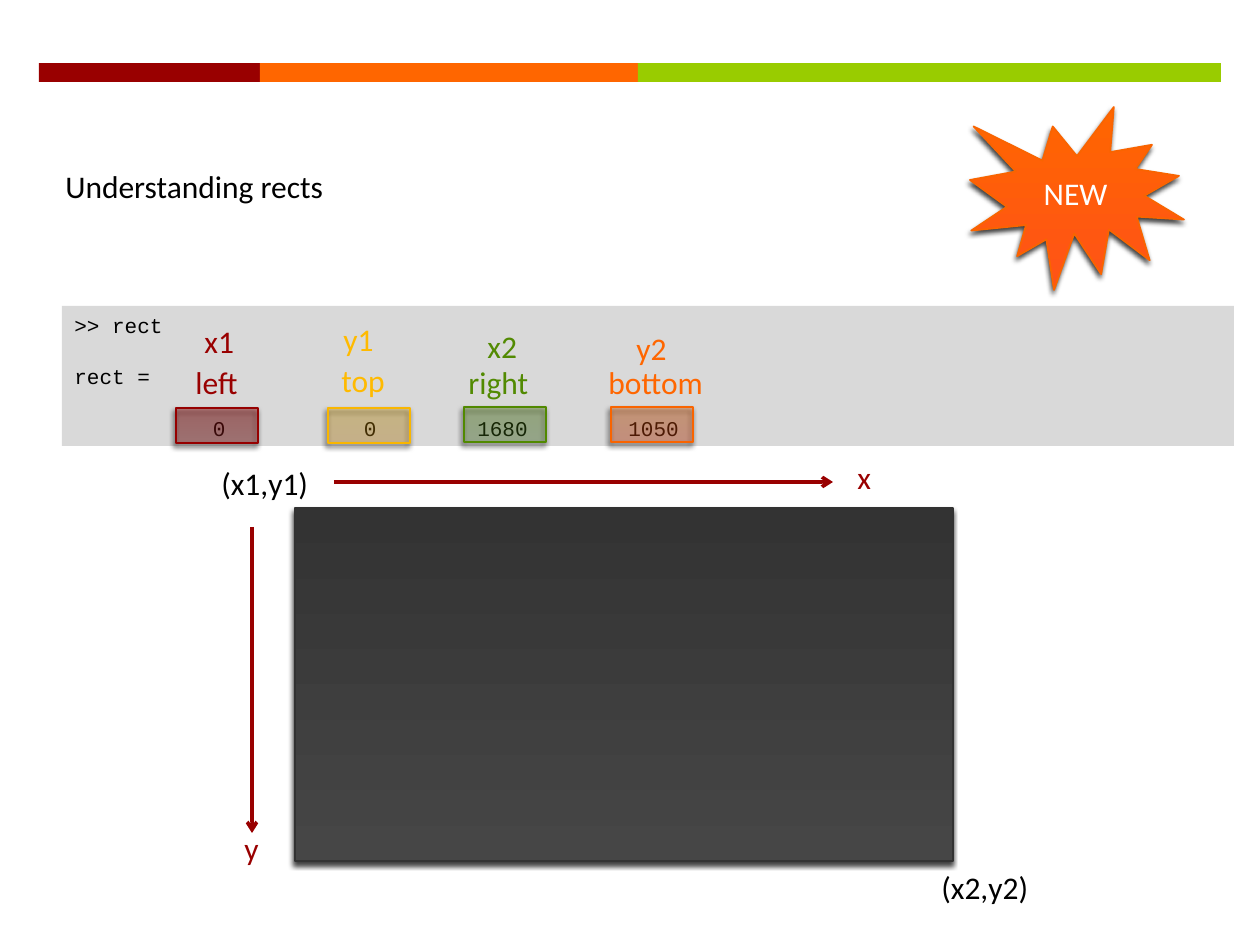
from dataclasses import dataclass

import pptx
import pptx.dml.color
import pptx.enum.dml
import pptx.enum.shapes
import pptx.enum.text
import pptx.oxml
import pptx.oxml.ns
import pptx.util

RGB = pptx.dml.color.RGBColor
SHAPE = pptx.enum.shapes.MSO_SHAPE

EMU_PER_PX = 914400 / 126
CODE_FONT = "Courier New"
BODY_FONT = "Calibri"

BLACK = RGB(0x00, 0x00, 0x00)
WHITE = RGB(0xFF, 0xFF, 0xFF)
RED = RGB(0x99, 0x00, 0x00)
RED_SOFT = RGB(0x9D, 0x28, 0x28)
RED_EDGE = RGB(0x96, 0x00, 0x00)
YELLOW = RGB(0xFF, 0xBA, 0x00)
YELLOW_SOFT = RGB(0xFF, 0xAE, 0x17)
YELLOW_EDGE = RGB(0xF9, 0xB6, 0x00)
GREEN = RGB(0x52, 0x8A, 0x02)
GREEN_DEEP = RGB(0x52, 0x8C, 0x00)
GREEN_SOFT = RGB(0x54, 0x8E, 0x2B)
GREEN_EDGE = RGB(0x51, 0x89, 0x00)
ORANGE = RGB(0xFF, 0x66, 0x00)
ORANGE_SOFT = RGB(0xFF, 0x52, 0x17)
ORANGE_EDGE = RGB(0xF9, 0x64, 0x00)
LIME = RGB(0x99, 0xCC, 0x00)
GRAY = RGB(0xD9, 0xD9, 0xD9)
SCREEN_BOTTOM = RGB(0x46, 0x46, 0x46)
SCREEN_TOP = RGB(0x33, 0x33, 0x33)
SCREEN_EDGE = RGB(0x32, 0x32, 0x32)


@dataclass(frozen=True)
class Area:
    left: int
    top: int
    width: int
    height: int = 50

    def emu(self) -> list[int]:
        return [px(n) for n in (self.left, self.top, self.width, self.height)]


@dataclass(frozen=True)
class Glow:
    """Vertical gradient with an outline; opacity in percent."""
    bottom: RGB
    top: RGB
    edge: RGB
    opacity: int = 100


@dataclass(frozen=True)
class Coordinate:
    symbol: str
    side: str
    value: int
    color: RGB
    symbol_area: Area
    side_area: Area
    frame_area: Area
    glow: Glow


COORDINATES = [
    Coordinate("x1", "left", 0, RED, Area(192, 316, 72), Area(183, 357, 72),
               Area(176, 408, 82, 35), Glow(RED_SOFT, RED, RED_EDGE, 37)),
    Coordinate("y1", "top", 0, YELLOW, Area(331, 314, 72), Area(329, 355, 72),
               Area(328, 408, 82, 35), Glow(YELLOW_SOFT, YELLOW, YELLOW_EDGE, 25)),
    Coordinate("x2", "right", 1680, GREEN, Area(475, 321, 59), Area(456, 357, 127),
               Area(464, 407, 82, 35), Glow(GREEN_SOFT, GREEN_DEEP, GREEN_EDGE, 27)),
    Coordinate("y2", "bottom", 1050, ORANGE, Area(624, 323, 87), Area(596, 357, 127),
               Area(611, 407, 82, 35), Glow(ORANGE_SOFT, ORANGE, ORANGE_EDGE, 30)),
]


def px(length: int) -> int:
    return round(length * EMU_PER_PX)


def add_xml(parent, tag: str, **attributes):
    child = pptx.oxml.parse_xml(f"<a:{tag} {pptx.oxml.ns.nsdecls('a')}/>")
    for name, value in attributes.items():
        child.set(name, str(value))
    parent.append(child)
    return child


def write(frame, text: str, *, color: RGB = BLACK, size: int = 18, font: str = BODY_FONT,
          align=pptx.enum.text.PP_ALIGN.LEFT, anchor=pptx.enum.text.MSO_ANCHOR.TOP,
          gap: int = 0, grow: bool = True) -> None:
    """One paragraph per line of text, with gap points between them."""
    frame.word_wrap = True
    frame.vertical_anchor = anchor
    if grow:
        frame.auto_size = pptx.enum.text.MSO_AUTO_SIZE.SHAPE_TO_FIT_TEXT
    for index, line in enumerate(text.split("\n")):
        para = frame.add_paragraph() if index else frame.paragraphs[0]
        para.alignment = align
        if index and gap:
            para.space_before = pptx.util.Pt(gap)
        span = para.add_run()
        span.text = line
        span.font.name = font
        span.font.size = pptx.util.Pt(size)
        span.font.color.rgb = color


def add_label(page, area: Area, text: str, color: RGB = BLACK) -> None:
    write(page.shapes.add_textbox(*area.emu()).text_frame, text, color=color)


def add_flat(page, area: Area, color: RGB):
    box = page.shapes.add_shape(SHAPE.RECTANGLE, *area.emu())
    box.shadow.inherit = False
    box.fill.solid()
    box.fill.fore_color.rgb = color
    box.line.fill.background()
    return box


def add_glowing(page, area: Area, glow: Glow, kind=SHAPE.RECTANGLE):
    box = page.shapes.add_shape(kind, *area.emu())
    box.fill.gradient()
    box.fill.gradient_angle = 90
    for stop, color in zip(box.fill.gradient_stops, (glow.bottom, glow.top)):
        stop.color.rgb = color
    box.line.color.rgb = glow.edge
    box.line.width = pptx.util.Pt(1)
    properties = box.element.spPr
    if glow.opacity < 100:
        for color in properties.findall(".//" + pptx.oxml.ns.qn("a:gs") + "/*"):
            add_xml(color, "alpha", val=glow.opacity * 1000)
    # Soft shadow below the shape
    box.shadow.inherit = False
    effects = properties.find(pptx.oxml.ns.qn("a:effectLst"))
    shadow = add_xml(effects, "outerShdw", blurRad=pptx.util.Pt(3), dist=pptx.util.Pt(2),
                     dir=110 * 60000, algn="ctr", rotWithShape=0)
    add_xml(add_xml(shadow, "srgbClr", val=BLACK), "alpha", val=75000)
    return box


def add_arrow(page, start: tuple[int, int], end: tuple[int, int]) -> None:
    arrow = page.shapes.add_connector(
        pptx.enum.shapes.MSO_CONNECTOR.STRAIGHT, *[px(n) for n in start + end])
    arrow.line.color.rgb = RED
    arrow.line.width = pptx.util.Pt(2)
    add_xml(arrow.line._get_or_add_ln(), "tailEnd", type="arrow")
    add_xml(arrow.element.spPr, "effectLst")


def main() -> None:
    deck = pptx.Presentation()
    deck.slide_width, deck.slide_height = px(1260), px(945)
    page = deck.slides.add_slide(deck.slide_layouts[6])

    # Header stripe
    left = 39
    for width, color in ((221, RED), (378, ORANGE), (583, LIME)):
        add_flat(page, Area(left, 63, width, 19), color)
        left += width

    # Console output
    console = add_flat(page, Area(62, 306, 1172, 140), GRAY)
    values = "".join(f"{item.value:>12}" for item in COORDINATES)
    write(console.text_frame, f">> rect\nrect =\n{values}",
          size=12, font=CODE_FONT, gap=15)

    # Screen with its corners and axes
    add_glowing(page, Area(295, 508, 658, 353), Glow(SCREEN_BOTTOM, SCREEN_TOP, SCREEN_EDGE))
    add_label(page, Area(929, 862, 120), "(x2,y2)")
    add_label(page, Area(209, 458, 126), "(x1,y1)")
    add_arrow(page, (334, 482), (833, 482))
    add_arrow(page, (252, 527), (252, 833))
    add_label(page, Area(845, 452, 58), "x", RED)
    add_label(page, Area(232, 823, 58), "y", RED)

    # Frames and names of the four values
    for item in COORDINATES:
        add_glowing(page, item.frame_area, item.glow)
        add_label(page, item.side_area, item.side, item.color)
        add_label(page, item.symbol_area, item.symbol, item.color)

    # Title and badge
    add_label(page, Area(53, 161, 896), "Understanding rects")
    badge = add_glowing(page, Area(970, 107, 214, 183),
                        Glow(ORANGE_SOFT, ORANGE, ORANGE_EDGE), SHAPE.EXPLOSION1)
    write(badge.text_frame, "NEW", color=WHITE, align=pptx.enum.text.PP_ALIGN.CENTER,
          anchor=pptx.enum.text.MSO_ANCHOR.MIDDLE, grow=False)

    deck.save("out.pptx")


if __name__ == "__main__":
    main()
